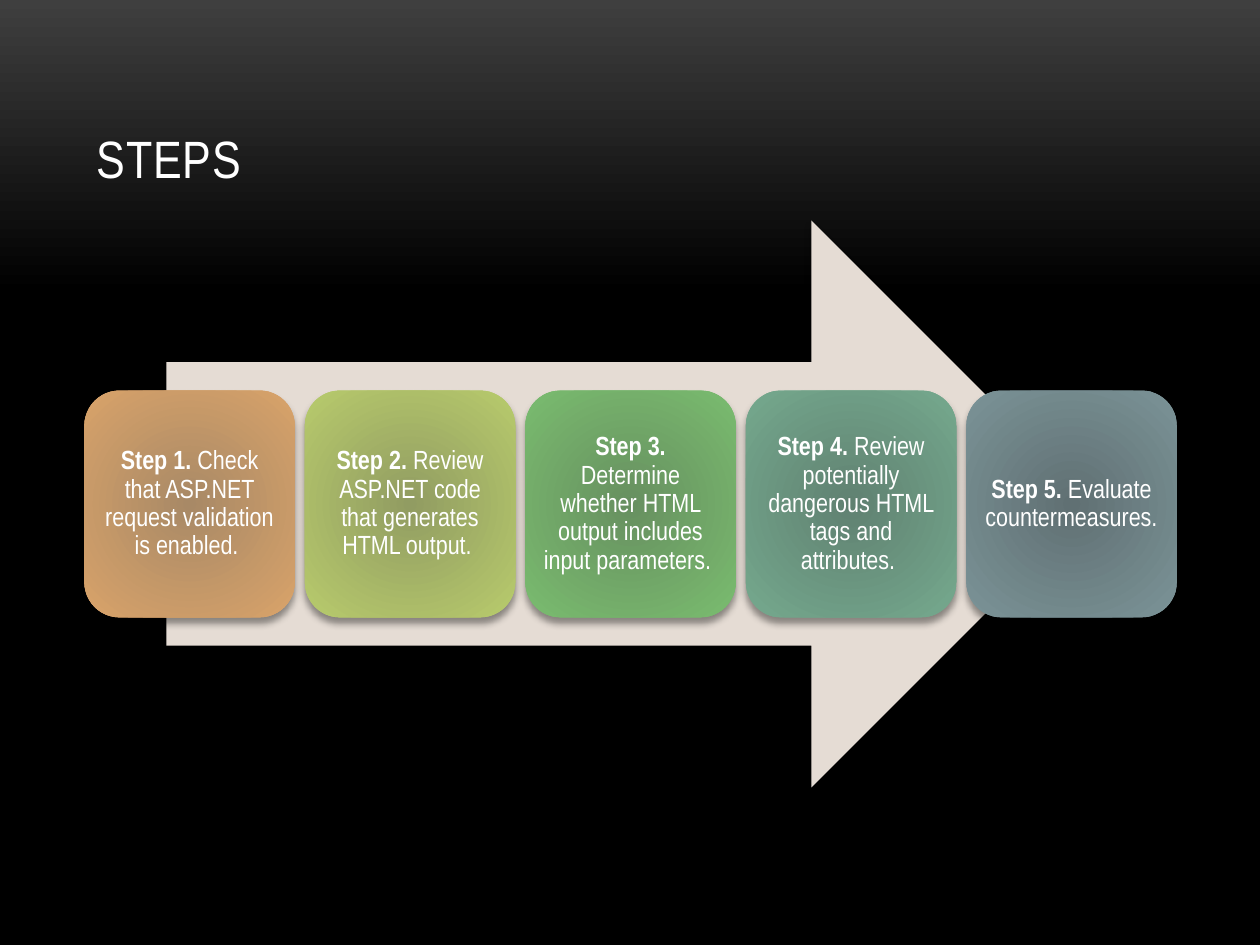
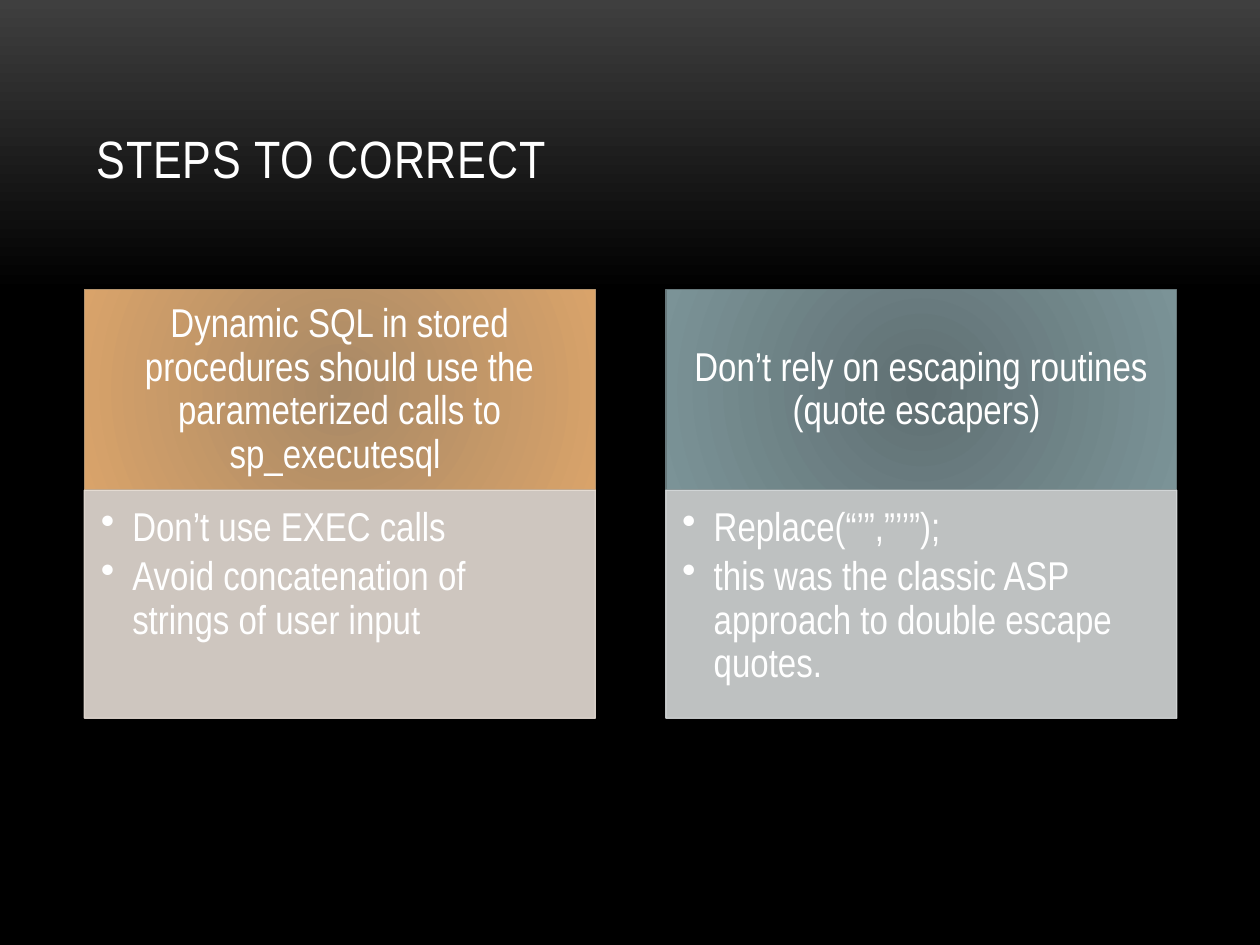
from lxml import etree
from pptx import Presentation
from pptx.dml.color import RGBColor
from pptx.enum.shapes import MSO_SHAPE as Preset
from pptx.enum.text import MSO_ANCHOR as Anchor, PP_ALIGN as Align
from pptx.oxml import parse_xml
from pptx.oxml.ns import nsdecls, qn
from pptx.util import Inches, Pt

FONT = "Arial Narrow"
COLORS = {
    "text": "FFFFFF", "shadow": "000000", "sand": "E5DCD4", "mist": "D3D6D7",
    "glow": "3F3F3F", "night": "000000",
    "orange_line": "B4936D", "slate_line": "67787B",
}
# Centre and edge colours of the radial fills
RADIAL = {
    "orange": ("A88966", "D9A36A"), "lime": ("919C62", "B8CB6C"),
    "green": ("679060", "7ABC6F"), "teal": ("608171", "75A98E"),
    "slate": ("607073", "7B9397"),
}
LINEAR_DOWN = '<a:lin ang="5400000" scaled="0"/>'
FROM_CENTRE = ('<a:path path="circle"><a:fillToRect l="100000" t="100000" '
               'r="100000" b="100000"/></a:path>')

TITLE_BOX = (0.67, 0.3, 8.67, 1.25)
ARROW_BOX = (1.32, 1.75, 7.37, 4.5)
STEPS_BOX = (0.67, 3.1, 8.67, 1.8)
COLUMNS_BOX = (0.67, 2.3, 8.67, 3.4)
STEP_GAP, COLUMN_GAP, HEAD_HEIGHT = 0.08, 0.56, 1.59

STEPS = [
    ("Step 1.", " Check that ASP.NET request validation is enabled. ", "orange"),
    ("Step 2.", " Review ASP.NET code that generates HTML output. ", "lime"),
    ("Step 3.", " Determine whether HTML output includes input parameters. ", "green"),
    ("Step 4.", " Review potentially dangerous HTML tags and attributes. ", "teal"),
    ("Step 5.", " Evaluate countermeasures.", "slate"),
]
COLUMNS = [
    ("Dynamic SQL in stored procedures should use the parameterized calls to sp_executesql ",
     ["Don’t use EXEC calls", "Avoid concatenation of strings of user input"],
     "orange", "orange_line", "sand"),
    ("Don’t rely on escaping routines (quote escapers) ",
     ["Replace(“’”,”’’”);",
      "this was the classic ASP approach to double escape quotes."],
     "slate", "slate_line", "mist"),
]


def rgb(name):
    return RGBColor.from_string(COLORS[name])


def paint_gradient(properties, stops, shading):
    """Swap the solid fill among the properties for a gradient."""
    marks = "".join(f'<a:gs pos="{place * 1000}"><a:srgbClr val="{color}"/></a:gs>'
                    for place, color in stops)
    gradient = parse_xml(f'<a:gradFill {nsdecls("a")} rotWithShape="1">'
                         f'<a:gsLst>{marks}</a:gsLst>{shading}</a:gradFill>')
    properties.replace(properties.find(qn("a:solidFill")), gradient)


def add_shadow(shape):
    effects = shape.element.spPr.find(qn("a:effectLst"))
    effects.append(parse_xml(
        f'<a:outerShdw {nsdecls("a")} blurRad="{Pt(4)}" dist="{Pt(3.4)}" '
        f'dir="5400000" rotWithShape="0"><a:srgbClr val="{COLORS["shadow"]}">'
        '<a:alpha val="40000"/></a:srgbClr></a:outerShdw>'))


def add_block(page, preset, box, fill="sand", radial=None, line=None,
              opacity=100, shadow=True):
    block = page.shapes.add_shape(preset, *map(Inches, box))
    block.shadow.inherit = False
    block.fill.solid()
    block.fill.fore_color.rgb = rgb(fill)
    if line:
        block.line.color.rgb = rgb(line)
        block.line.width = Pt(0.75)
    else:
        block.line.fill.background()
    if radial:
        paint_gradient(block.element.spPr, zip((0, 100), RADIAL[radial]), FROM_CENTRE)
    if opacity < 100:
        for color in block.element.spPr.iter(qn("a:srgbClr")):
            etree.SubElement(color, qn("a:alpha"), val=str(opacity * 1000))
    if shadow:
        add_shadow(block)
    return block


def set_frame(shape, anchor, insets):
    frame = shape.text_frame
    frame.word_wrap = True
    frame.vertical_anchor = anchor
    (frame.margin_left, frame.margin_top,
     frame.margin_right, frame.margin_bottom) = map(Inches, insets)
    return frame


def style_para(para, size, align=Align.LEFT, spacing=None, after=0):
    """Set the paragraph's font; after is a share of the text size."""
    para.alignment = align
    para.line_spacing = spacing
    para.space_after = Pt(round(size * after, 1))
    para.font.name = FONT
    para.font.size = Pt(size)
    para.font.color.rgb = rgb("text")


def add_bullet(para):
    layout = para._p.get_or_add_pPr()
    layout.set("marL", str(Inches(0.25)))
    layout.set("indent", str(Inches(-0.25)))
    etree.SubElement(layout, qn("a:buChar"), char="•")


def add_page(deck, title):
    page = deck.slides.add_slide(deck.slide_layouts[6])
    # Background fading from grey to black
    page.background.fill.solid()
    page.background.fill.fore_color.rgb = rgb("night")
    stops = [(0, COLORS["glow"]), (31, COLORS["night"]), (100, COLORS["night"])]
    paint_gradient(next(page.element.iter(qn("p:bgPr"))), stops, LINEAR_DOWN)
    # Title
    box = page.shapes.add_textbox(*map(Inches, TITLE_BOX))
    para = set_frame(box, Anchor.BOTTOM, (0.1, 0.05, 0.1, 0.05)).paragraphs[0]
    span = para.add_run()
    span.text = title
    span.font._element.set("spc", "50")
    style_para(para, 30)
    return page


def split_width(box, count, gap):
    """Give the left edge of each of count equal cells, and their width."""
    left, _, width, _ = box
    cell = (width - gap * (count - 1)) / count
    return [left + i * (cell + gap) for i in range(count)], cell


def add_steps(page, box):
    _, top, _, height = box
    lefts, width = split_width(box, len(STEPS), STEP_GAP)
    for left, (label, action, color) in zip(lefts, STEPS):
        card = add_block(page, Preset.ROUNDED_RECTANGLE,
                         (left, top, width, height), radial=color)
        para = set_frame(card, Anchor.MIDDLE, (0.06,) * 4).paragraphs[0]
        for text, bold in ((label, True), (action, False)):
            span = para.add_run()
            span.text = text
            span.font.bold = bold
        style_para(para, 15, Align.CENTER, 0.9, 0.35)


def add_columns(page, box):
    _, top, _, height = box
    lefts, width = split_width(box, len(COLUMNS), COLUMN_GAP)
    for left, (heading, points, color, line, tint) in zip(lefts, COLUMNS):
        # Heading
        head = add_block(page, Preset.RECTANGLE, (left, top, width, HEAD_HEIGHT),
                         radial=color, line=line)
        para = set_frame(head, Anchor.MIDDLE, (0.18, 0.1, 0.18, 0.1)).paragraphs[0]
        para.text = heading
        style_para(para, 23, Align.CENTER, 0.9, 0.35)
        # Bulleted points
        body = add_block(page, Preset.RECTANGLE,
                         (left, top + HEAD_HEIGHT, width, height - HEAD_HEIGHT),
                         fill=tint, line=tint, opacity=90, shadow=False)
        frame = set_frame(body, Anchor.TOP, (0.13, 0.13, 0.18, 0.2))
        for i, point in enumerate(points):
            para = frame.add_paragraph() if i else frame.paragraphs[0]
            para.text = point
            add_bullet(para)
            style_para(para, 23, spacing=0.9, after=0.15)


def main():
    deck = Presentation()
    deck.slide_width, deck.slide_height = Inches(10), Inches(7.5)

    page = add_page(deck, "STEPS")
    add_block(page, Preset.RIGHT_ARROW, ARROW_BOX)
    add_steps(page, STEPS_BOX)

    page = add_page(deck, "STEPS TO CORRECT")
    add_columns(page, COLUMNS_BOX)

    deck.save("out.pptx")


if __name__ == "__main__":
    main()
